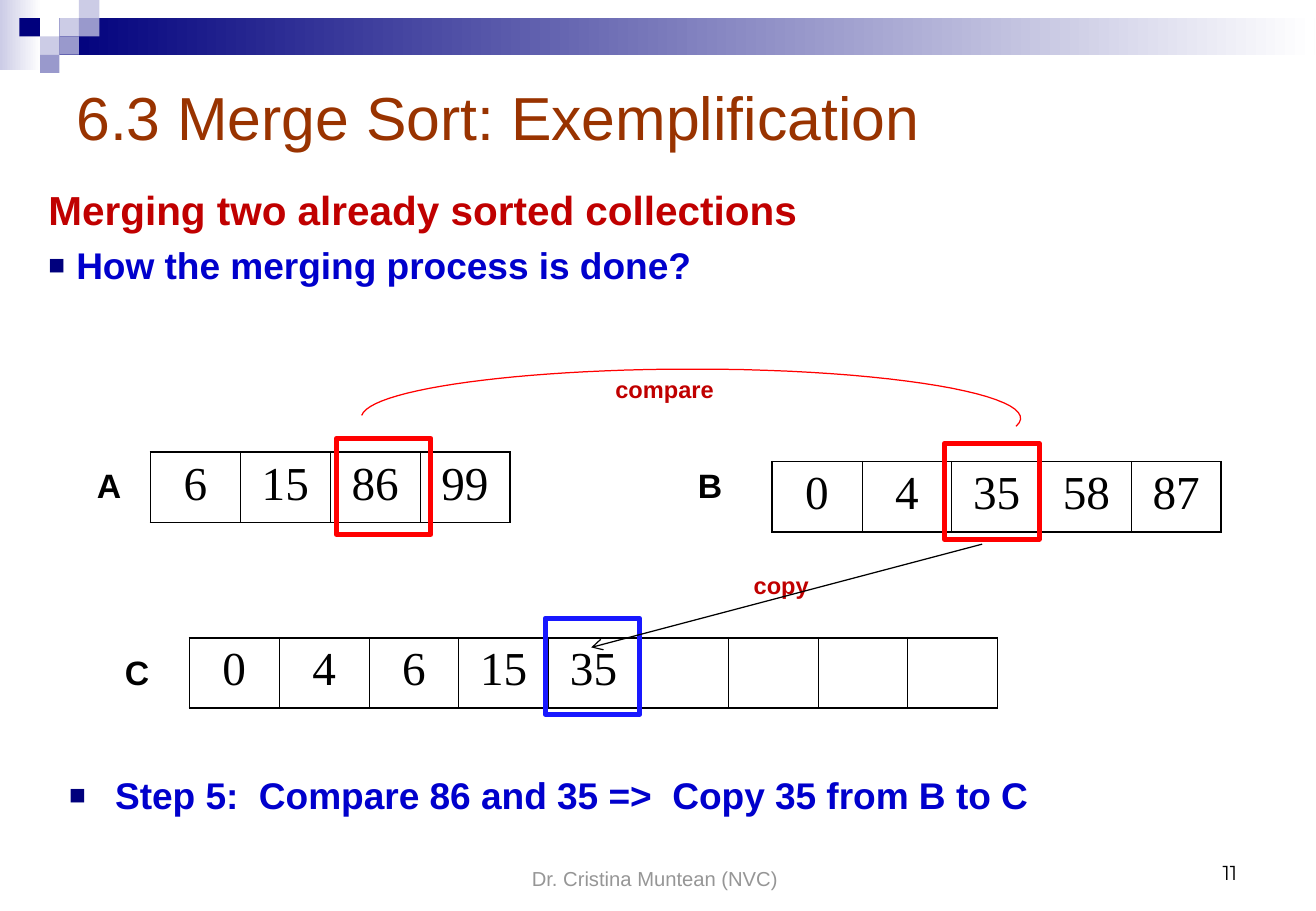
from pptx import Presentation
from pptx.dml.color import RGBColor
from pptx.enum.shapes import MSO_CONNECTOR as Connector, MSO_SHAPE as Preset
from pptx.enum.text import MSO_ANCHOR as Anchor, PP_ALIGN as Align
from pptx.oxml.ns import qn
from pptx.util import Pt
from lxml.etree import SubElement, Element

PX = 9144
COLOURS = {
    "navy": "00007D", "lilac": "CCCCE6", "violet": "9999CC", "white": "FFFFFF",
    "black": "000000", "grey": "969696", "brown": "993300", "crimson": "C00000",
    "blue": "0000CC", "red": "FF0000", "bright": "1818FF",
}
FORMATS = {
    "title": ({"size": Pt(36), "name": "Arial"}, "brown"),
    "heading": ({"size": Pt(24), "name": "Arial", "bold": True}, "crimson"),
    "point": ({"size": Pt(22), "name": "Arial", "bold": True}, "blue"),
    "label": ({"size": Pt(20), "name": "Arial", "bold": True}, "black"),
    "action": ({"size": Pt(14), "name": "Arial", "bold": True}, "crimson"),
    "value": ({"size": Pt(28), "name": "Times New Roman"}, "black"),
    "footer": ({"size": Pt(12), "name": "Arial"}, "grey"),
    "number": ({"size": Pt(12), "name": "Montserrat"}, "black"),
}
CELL_WIDTH, CELL_HEIGHT = 74, 58


def rgb(name):
    return RGBColor.from_string(COLOURS[name])


def bezier(start, first, second, end, steps=24):
    for step in range(steps + 1):
        t = step / steps
        u = 1 - t
        weights = (u ** 3, 3 * u * u * t, 3 * u * t * t, t ** 3)
        yield tuple(
            round(PX * sum(w * p[axis] for w, p in zip(weights, (start, first, second, end))))
            for axis in (0, 1)
        )


class SlideBuilder:
    def __init__(self, slide):
        self.slide = slide
        self.shapes = slide.shapes

    def box(self, x, y, width, height):
        return [value * PX for value in (x, y, width, height)]

    def line_of_text(self, paragraph, words, style, before=0, align=Align.LEFT, hang=0):
        run = paragraph.add_run()
        run.text = words
        values, colour = FORMATS[style]
        for key, value in values.items():
            setattr(run.font, key, value)
        run.font.color.rgb = rgb(colour)
        paragraph.alignment = align
        paragraph.space_before = Pt(before)
        if hang:
            props = paragraph._p.get_or_add_pPr()
            props.set("marL", str(hang * PX))
            props.set("indent", str(-hang * PX))
            tint = SubElement(props, qn("a:buClr"))
            SubElement(tint, qn("a:srgbClr"), val=COLOURS["navy"])
            SubElement(props, qn("a:buSzPct"), val="75000")
            SubElement(props, qn("a:buFont"), typeface="Arial")
            SubElement(props, qn("a:buChar"), char="■")

    def text(self, area, *lines, anchor=Anchor.TOP):
        frame = self.shapes.add_textbox(*self.box(*area)).text_frame
        frame.word_wrap = True
        frame.vertical_anchor = anchor
        for index, line in enumerate(lines):
            paragraph = frame.add_paragraph() if index else frame.paragraphs[0]
            self.line_of_text(paragraph, **line)

    def block(self, area, *colours):
        block = self.shapes.add_shape(Preset.RECTANGLE, *self.box(*area))
        block.shadow.inherit = False
        block.line.fill.background()
        if len(colours) == 1:
            block.fill.solid()
            block.fill.fore_color.rgb = rgb(colours[0])
            return
        block.fill.gradient()
        block.fill.gradient_angle = 0
        for stop, colour, position in zip(block.fill.gradient_stops, colours, (0, 1)):
            stop.color.rgb = rgb(colour)
            stop.position = position

    def outline(self, shape, colour, width):
        shape.shadow.inherit = False
        shape.fill.background()
        shape.line.color.rgb = rgb(colour)
        shape.line.width = Pt(width)

    def marker(self, x, y, colour):
        marker = self.shapes.add_shape(Preset.RECTANGLE, *self.box(x, y, 78, 79))
        self.outline(marker, colour, 3)

    def arc(self, points, colour):
        builder = self.shapes.build_freeform(*points[0], scale=1.0)
        builder.add_line_segments(points[1:], close=False)
        self.outline(builder.convert_to_shape(), colour, 0.75)

    def arrow(self, start, end, colour):
        arrow = self.shapes.add_connector(
            Connector.STRAIGHT, *[value * PX for value in start + end])
        arrow.line.color.rgb = rgb(colour)
        arrow.line.width = Pt(0.75)
        SubElement(arrow.line._get_or_add_ln(), qn("a:tailEnd"), type="arrow")
        SubElement(arrow._element.spPr, qn("a:effectLst"))

    def borders(self, cell, widths):
        props = cell._tc.get_or_add_tcPr()
        for index, (side, width) in enumerate(widths.items()):
            edge = Element(qn("a:ln" + side), w=str(Pt(width)))
            fill = SubElement(edge, qn("a:solidFill"))
            SubElement(fill, qn("a:srgbClr"), val=COLOURS["black"])
            props.insert(index, edge)

    def collection(self, x, y, values):
        count = len(values)
        area = self.box(x, y, count * CELL_WIDTH, CELL_HEIGHT)
        table = self.shapes.add_table(1, count, *area).table
        table.first_row = table.horz_banding = False
        for index, value in enumerate(values):
            table.columns[index].width = CELL_WIDTH * PX
            cell = table.cell(0, index)
            cell.fill.background()
            if value:
                self.line_of_text(cell.text_frame.paragraphs[0], value, "value", 7, Align.CENTER)
            self.borders(cell, {
                "L": 1.08 if index == 0 else 0.45,
                "R": 1.08 if index == count - 1 else 0.45,
                "T": 1.08,
                "B": 1.08,
            })


def main():
    deck = Presentation()
    deck.slide_width, deck.slide_height = 1084 * PX, 750 * PX
    page = SlideBuilder(deck.slides.add_slide(deck.slide_layouts[6]))

    page.block((0, 0, 34, 58), "lilac", "white")
    page.block((49, 15, 1034, 30), "navy", "white")
    column_edges = (0, 16, 33, 49, 65, 82)
    mosaic = ((3, 1, "lilac"), (4, 0, "lilac"), (4, 1, "violet"), (2, 2, "lilac"),
              (1, 1, "navy"), (3, 2, "violet"), (2, 3, "violet"))
    for column, row, colour in mosaic:
        left, right = column_edges[column:column + 2]
        page.block((left, row * 15, right - left, 15), colour)

    page.text((368, 688, 343, 50),
              dict(words="Dr. Cristina Muntean (NVC)", style="footer", align=Align.CENTER),
              anchor=Anchor.BOTTOM)
    page.text((776, 683, 253, 50), dict(words="11", style="number", align=Align.RIGHT),
              anchor=Anchor.BOTTOM)

    page.collection(156, 525, ["0", "4", "6", "15", "35", "", "", "", ""])
    page.collection(124, 372, ["6", "15", "86", "99"])
    page.collection(636, 380, ["0", "4", "35", "58", "87"])
    page.marker(277, 361, "red")
    page.marker(778, 365, "red")
    for name, x, y in (("A", 70, 378), ("B", 565, 378), ("C", 93, 532)):
        page.text((x, y, 46, 44), dict(words=name, style="label"))

    page.text((47, 631, 1031, 59),
              dict(words="Step 5:  Compare 86 and 35 =>  Copy 35 from B to C",
                   style="point", before=5.5, hang=38))
    page.text((53, 60, 975, 71), dict(words="6.3 Merge Sort: Exemplification", style="title"),
              anchor=Anchor.MIDDLE)
    page.text((30, 147, 1048, 126),
              dict(words="Merging two already sorted collections", style="heading", before=6),
              dict(words="How the merging process is done?", style="point",
                   before=5.5, hang=23))

    compare_curves = (
        ((298, 342), (305, 322), (411, 306), (547, 304)),
        ((547, 304), (562, 304), (578, 304), (593, 304)),
        ((593, 304), (751, 306), (863, 328), (837, 351)),
    )
    page.arc([point for curve in compare_curves for point in bezier(*curve)], "red")
    page.text((497, 304, 132, 34), dict(words="compare", style="action"))
    page.text((611, 465, 70, 34), dict(words="copy", style="action"))
    page.marker(449, 509, "bright")
    page.arrow((809, 448), (487, 533), "black")

    deck.save("out.pptx")


if __name__ == "__main__":
    main()
